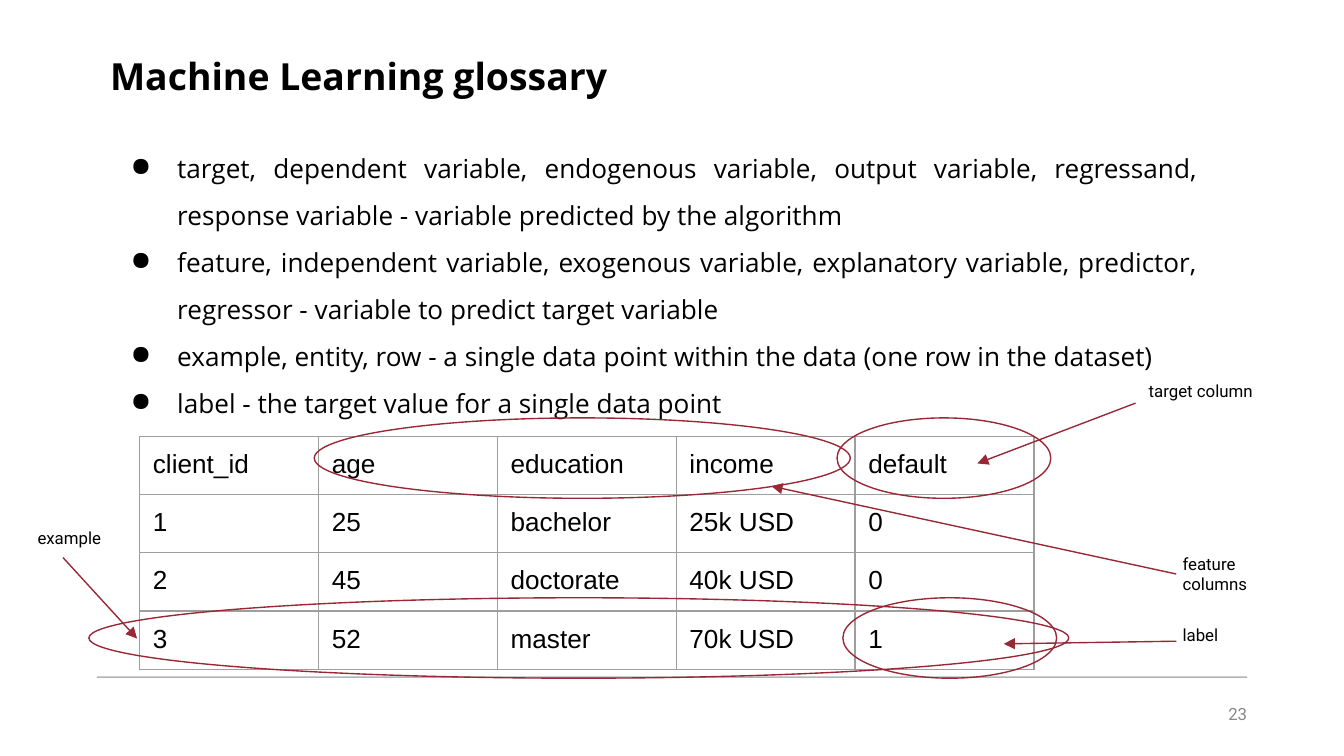
from lxml.etree import SubElement
from pptx import Presentation
from pptx.dml.color import RGBColor
from pptx.enum.shapes import MSO_CONNECTOR, MSO_SHAPE
from pptx.enum.text import MSO_ANCHOR, PP_ALIGN
from pptx.oxml.ns import qn
from pptx.util import Cm, Pt

INSET = Cm(0.25)
GLOSSARY = [
    "target, dependent variable, endogenous variable, output variable, regressand, "
    "response variable - variable predicted by the algorithm",
    "feature, independent variable, exogenous variable, explanatory variable, "
    "predictor, regressor - variable to predict target variable",
    "example, entity, row - a single data point within the data (one row in the dataset)",
    "label - the target value for a single data point",
]
CLIENTS = [
    ["client_id", "age", "education", "income", "default"],
    ["1", "25", "bachelor", "25k USD", "0"],
    ["2", "45", "doctorate", "40k USD", "0"],
    ["3", "52", "master", "70k USD", "1"],
]
HEADER_RING, LAST_ROW_RING = 7.9, 11.3
# term, note (left, top), arrow tip, arrow tail, ring (left, top, width)
CALLOUTS = [
    ("target column", (21.46, 7.01), (18.47, 8.76), (21.46, 7.62), (15.82, HEADER_RING, 4.04)),
    ("feature columns", (22.1, 10.21), (14.58, 9.19), (22.23, 10.85), (5.94, HEADER_RING, 10.13)),
    ("label", (22.1, 11.61), (18.97, 12.17), (22.23, 12.12), (15.93, LAST_ROW_RING, 4.04)),
    ("example", (0.46, 9.78), (2.59, 12.07), (1.19, 10.54), (1.68, LAST_ROW_RING, 18.52)),
]


def rgb(value):
    return RGBColor.from_string(value)


def write(frame, *lines, font="Open Sans", size=14, color="000000", bold=False,
          align=PP_ALIGN.LEFT, spacing=None, bullet=None):
    """Fill a text frame with one formatted paragraph per line."""
    for index, line in enumerate(lines):
        paragraph = frame.add_paragraph() if index else frame.paragraphs[0]
        paragraph.alignment = align
        if spacing:
            paragraph.line_spacing = spacing
        if bullet:
            properties = paragraph._p.get_or_add_pPr()
            properties.set("marL", str(Cm(1.27)))
            properties.set("indent", str(-Cm(0.88)))
            SubElement(properties, qn("a:buChar"), char=bullet)
        run = paragraph.add_run()
        run.text = line
        run.font.name = font
        run.font.size = Pt(size)
        run.font.bold = bold
        run.font.color.rgb = rgb(color)


class GlossarySlide:
    accent = "992735"
    grid = "9E9E9E"
    rule = "40434F"
    stroke = Pt(0.75)

    def __init__(self, slide):
        self.slide = slide

    def text(self, left, top, width, height, *lines, inset=INSET,
             anchor=MSO_ANCHOR.TOP, **style):
        box = self.slide.shapes.add_textbox(Cm(left), Cm(top), Cm(width), Cm(height))
        frame = box.text_frame
        frame.word_wrap = True
        frame.vertical_anchor = anchor
        frame.margin_left = frame.margin_right = inset
        frame.margin_top = frame.margin_bottom = inset
        write(frame, *lines, **style)

    def line(self, start, end, color, arrow=False, opacity=None):
        """Draw a line, with any arrowhead at its start."""
        points = [Cm(value) for value in (*start, *end)]
        connector = self.slide.shapes.add_connector(MSO_CONNECTOR.STRAIGHT, *points)
        connector.line.width = self.stroke
        connector.line.color.rgb = rgb(color)
        properties = connector._element.spPr
        outline = properties.find(qn("a:ln"))
        if opacity:
            tint = outline.find(".//" + qn("a:srgbClr"))
            SubElement(tint, qn("a:alpha"), val=str(opacity * 1000))
        if arrow:
            SubElement(outline, qn("a:headEnd"), type="triangle", w="med", len="med")
        SubElement(properties, qn("a:effectLst"))

    def ring(self, left, top, width, height=1.52):
        ellipse = self.slide.shapes.add_shape(
            MSO_SHAPE.OVAL, Cm(left), Cm(top), Cm(width), Cm(height))
        ellipse.shadow.inherit = False
        ellipse.fill.background()
        ellipse.line.color.rgb = rgb(self.accent)
        ellipse.line.width = self.stroke

    def border(self, cell):
        properties = cell._tc.get_or_add_tcPr()
        for side in ("lnL", "lnR", "lnT", "lnB"):
            edge = SubElement(properties, qn("a:" + side), w=str(self.stroke))
            fill = SubElement(edge, qn("a:solidFill"))
            SubElement(fill, qn("a:srgbClr"), val=self.grid)

    def table(self, left, top, column_width, row_height, records):
        rows, columns = len(records), len(records[0])
        table = self.slide.shapes.add_table(
            rows, columns, Cm(left), Cm(top),
            Cm(column_width * columns), Cm(row_height * rows)).table
        table.first_row = table.horz_banding = False
        for column in table.columns:
            column.width = Cm(column_width)
        for row, record in zip(table.rows, records):
            row.height = Cm(row_height)
            for cell, value in zip(row.cells, record):
                self.border(cell)
                cell.fill.background()
                cell.margin_left = cell.margin_right = INSET
                cell.margin_top = cell.margin_bottom = INSET
                write(cell.text_frame, value, font="Arial")

    def callout(self, term, note, tip, tail, ring):
        self.line(tip, tail, self.accent, arrow=True)
        self.text(*note, 2.5, 0.89, term, font="Roboto", size=9)
        self.ring(*ring)


def main():
    deck = Presentation()
    deck.slide_width, deck.slide_height = Cm(25.4), Cm(14.29)
    page = GlossarySlide(deck.slides.add_slide(deck.slide_layouts[6]))

    page.line((1.83, 12.8), (23.57, 12.8), page.rule, opacity=40)
    page.text(17.86, 13.31, 5.71, 0.38, "23", inset=0, anchor=MSO_ANCHOR.BOTTOM,
              font="Roboto", size=9, color="888888", align=PP_ALIGN.RIGHT)
    page.text(1.83, 0.76, 17.6, 1.37, "Machine Learning glossary", size=20, bold=True)
    page.text(1.83, 2.34, 21.06, 5.61, *GLOSSARY, align=PP_ALIGN.JUSTIFY,
              spacing=1.5, bullet="●")
    page.table(2.64, 8.25, 3.38, 1.1, CLIENTS)
    for callout in CALLOUTS:
        page.callout(*callout)

    deck.save("out.pptx")


if __name__ == "__main__":
    main()
